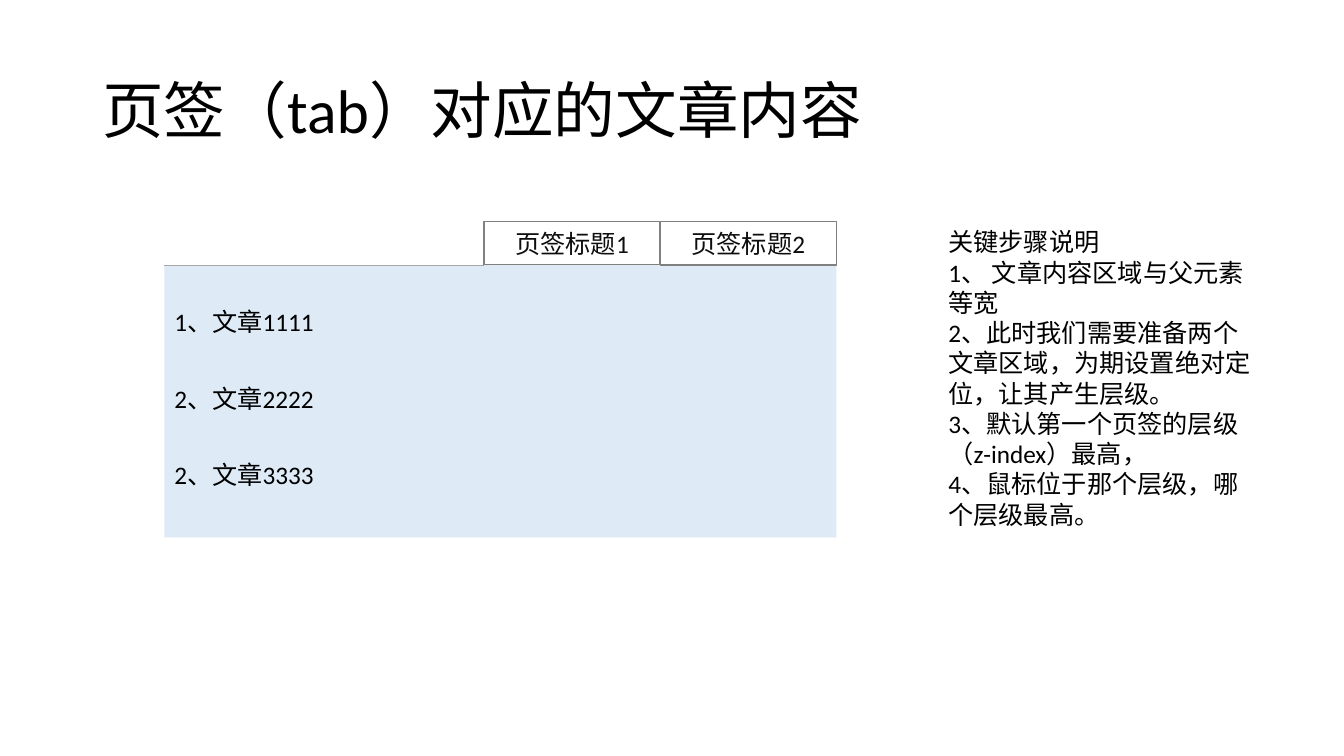
from pptx import Presentation
from pptx.util import Pt
from pptx.dml.color import RGBColor as RGB
from pptx.enum.shapes import MSO_SHAPE as SHAPE, MSO_CONNECTOR as LINE
from pptx.enum.text import PP_ALIGN as ALIGN, MSO_ANCHOR as ANCHOR
from pptx.oxml.ns import qn
from lxml import etree

TITLE = "页签（tab）对应的文章内容"
TABS = ["页签标题1", "页签标题2"]
ITEMS = ["1、文章1111", "2、文章2222", "2、文章3333"]
NOTES = [
    "关键步骤说明",
    "1、 文章内容区域与父元素等宽",
    "2、此时我们需要准备两个文章区域，为期设置绝对定位，让其产生层级。",
    "3、默认第一个页签的层级（z-index）最高，",
    "4、鼠标位于那个层级，哪个层级最高。",
]
COLORS = {"text": "000000", "tab": "0D0D0D", "panel": "DEEBF7",
          "white": "FFFFFF", "edge": "808080", "rule": "A6A6A6"}
FONT = "Calibri"

# Panel and tab sizes, in points
LEFT, TOP, WIDE, HIGH = 117.4, 189.4, 480, 194.4
TAB_W, TAB_H = 125.8, 31
ITEM_TOP, ITEM_STEP, ITEM_H = 215.3, 54.7, 29


def color(name):
    """Return the named colour."""
    return RGB.from_string(COLORS[name])


def write(shape, lines, size=18, ink="text"):
    """Put lines of text into a shape, one paragraph each."""
    frame = shape.text_frame
    frame.word_wrap = True
    frame.text = "\n".join(lines)
    for para in frame.paragraphs:
        for run in para.runs:
            run.font.size = Pt(size)
            run.font.name = FONT
            run.font.color.rgb = color(ink)
    return frame


def add_text(x, y, w, h, lines, size=18):
    """Add a text box and return its frame."""
    box = slide.shapes.add_textbox(Pt(x), Pt(y), Pt(w), Pt(h))
    return write(box, lines, size)


def add_rect(x, y, w, h, fill, edge=None):
    """Add a flat rectangle, with an outline if edge is given."""
    rect = slide.shapes.add_shape(SHAPE.RECTANGLE, Pt(x), Pt(y), Pt(w), Pt(h))
    rect.shadow.inherit = False
    rect.fill.solid()
    rect.fill.fore_color.rgb = color(fill)
    if edge:
        rect.line.color.rgb = color(edge)
        rect.line.width = Pt(1)
    else:
        rect.line.fill.background()
    return rect


def add_rule(x, y, w):
    """Add a thin level line."""
    rule = slide.shapes.add_connector(LINE.STRAIGHT, Pt(x), Pt(y), Pt(x + w), Pt(y))
    rule.line.color.rgb = color("rule")
    rule.line.width = Pt(0.5)
    etree.SubElement(rule._element.spPr, qn("a:effectLst"))


def add_tab(x, label):
    """Add a tab that stands on the panel's top edge."""
    tab = add_rect(x, TOP - TAB_H, TAB_W, TAB_H, "white", "edge")
    frame = write(tab, [label], ink="tab")
    frame.vertical_anchor = ANCHOR.MIDDLE
    frame.paragraphs[0].alignment = ALIGN.CENTER


deck = Presentation()
deck.slide_width, deck.slide_height = Pt(960), Pt(540)
slide = deck.slides.add_slide(deck.slide_layouts[6])

add_rect(LEFT, TOP, WIDE, HIGH, "panel")
head = add_text(66, 28.8, 828, 104.4, [TITLE], 44)
head.vertical_anchor = ANCHOR.MIDDLE
head.paragraphs[0].line_spacing = 0.9
add_rule(LEFT, TOP, WIDE)

# Tabs sit flush right; the first lies on top and opens into the panel
first = LEFT + WIDE - len(TABS) * TAB_W
for i, label in reversed(list(enumerate(TABS))):
    add_tab(first + i * TAB_W, label)
add_rect(first, TOP, TAB_W, 15.8, "panel")

for i, item in enumerate(ITEMS):
    add_text(LEFT, ITEM_TOP + i * ITEM_STEP, WIDE, ITEM_H, [item])
add_text(670.3, TOP - TAB_H, 233.3, 225.4, NOTES)

deck.save("out.pptx")
